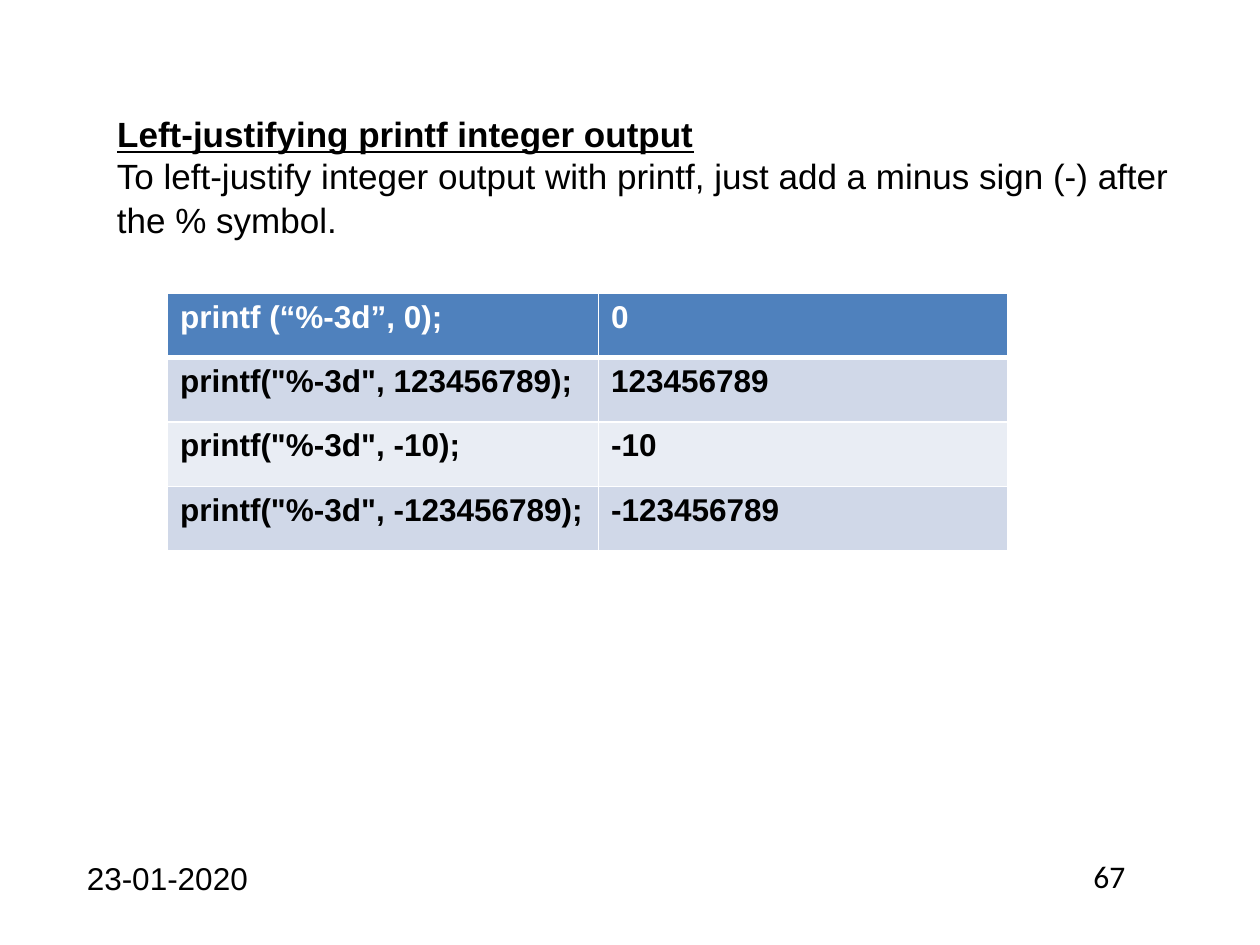
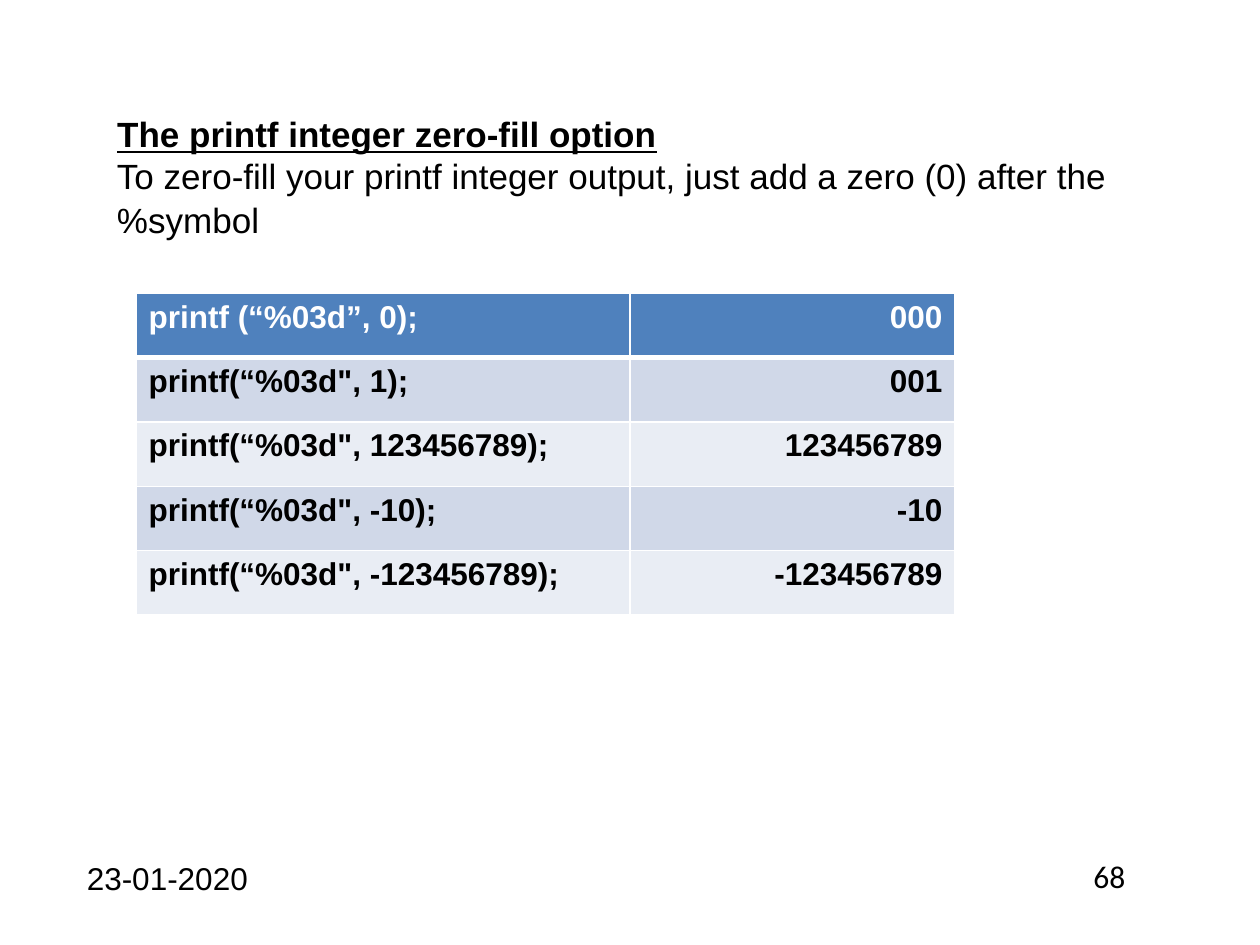
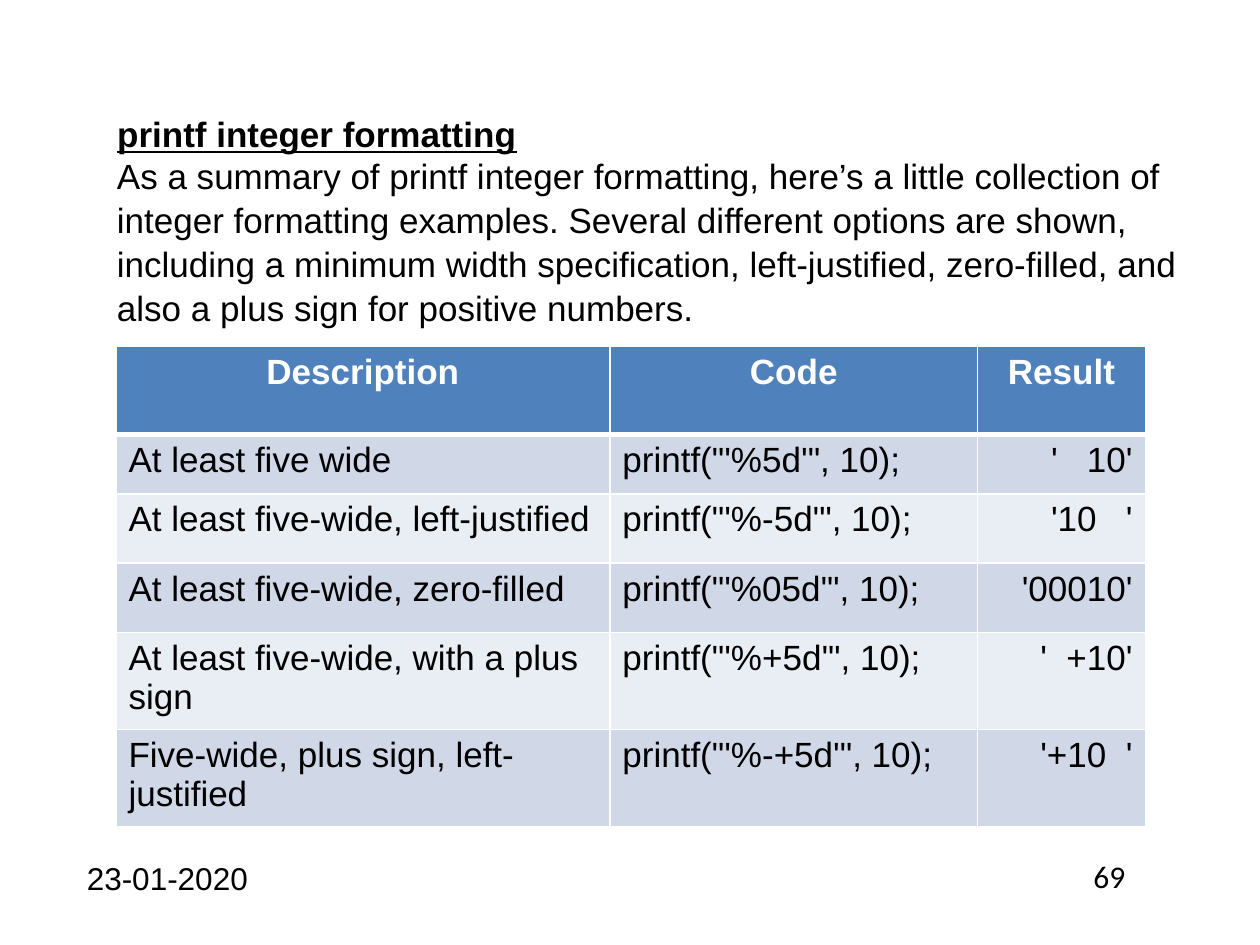
"""Build three slides on printf integer formatting."""
from dataclasses import dataclass

from lxml.etree import SubElement
from pptx import Presentation
from pptx.dml.color import RGBColor
from pptx.enum.text import MSO_ANCHOR as Anchor
from pptx.enum.text import MSO_AUTO_SIZE as AutoSize
from pptx.enum.text import PP_ALIGN as Align
from pptx.oxml.ns import qn
from pptx.util import Inches, Pt

BLACK, WHITE, HEADER_BLUE = "000000", "FFFFFF", "4F81BD"
BAND_FILLS = ("D0D8E8", "E9EDF4")
DATE = "23-01-2020"
FIRST_PAGE = 67
TITLE_ONLY = 5
TEXT_LEFT, TEXT_WIDTH = 0.83, 8.67
LEADING = 1.05

HEADING = {"name": "Arial", "size": Pt(20), "bold": True, "underline": True}
BODY = {"name": "Arial", "size": Pt(20), "bold": False, "underline": False}
DATE_FORMAT = {"name": "Arial", "size": Pt(18)}
PAGE_FORMAT = {"name": "Calibri", "size": Pt(18)}


@dataclass(frozen=True)
class Box:
    """A rectangle in inches."""

    left: float
    top: float
    width: float
    height: float


@dataclass(frozen=True)
class Grid:
    """A table with a header row and banded body rows."""

    left: float
    top: float
    columns: tuple[float, ...]
    heights: tuple[float, ...]
    rows: tuple[tuple[str, ...], ...]
    aligns: tuple[Align, ...]
    header_aligns: tuple[Align, ...]
    size: int
    bold_body: bool


@dataclass(frozen=True)
class Topic:
    """The content of one slide."""

    heading: str
    explanation: str
    explanation_height: float
    grid: Grid


TITLE_BOX = Box(TEXT_LEFT, 0.83, TEXT_WIDTH, 0.43)
DATE_BOX = Box(0.59, 6.77, 1.52, 0.47)
PAGE_BOX = Box(8.58, 6.75, 0.92, 0.4)
EXPLANATION_TOP = 1.16

TOPICS = (
    Topic(
        "Left-justifying printf integer output",
        "To left-justify integer output with printf, just add a minus sign (-) "
        "after the % symbol.",
        0.77,
        Grid(
            1.33, 2.33, (3.42, 3.25), (0.51,) * 4,
            (
                ("printf (“%-3d”, 0);", "0"),
                ('printf("%-3d", 123456789);', "123456789"),
                ('printf("%-3d", -10);', "-10"),
                ('printf("%-3d", -123456789);', "-123456789"),
            ),
            (Align.LEFT,) * 2, (Align.LEFT,) * 2, 18, True,
        ),
    ),
    Topic(
        "The printf integer zero-fill option",
        "To zero-fill your printf integer output, just add a zero (0) "
        "after the %symbol",
        0.77,
        Grid(
            1.08, 2.33, (3.92, 2.58), (0.51,) * 5,
            (
                ("printf (“%03d”, 0);", "000"),
                ('printf(“%03d", 1);', "001"),
                ('printf(“%03d", 123456789);', "123456789"),
                ('printf(“%03d", -10);', "-10"),
                ('printf(“%03d", -123456789);', "-123456789"),
            ),
            (Align.LEFT, Align.RIGHT), (Align.LEFT, Align.RIGHT), 18, True,
        ),
    ),
    Topic(
        "printf integer formatting",
        "As a summary of printf integer formatting, here’s a little collection "
        "of integer formatting examples. Several different options are shown, "
        "including a minimum width specification, left-justified, zero-filled, "
        "and also a plus sign for positive numbers.",
        1.44,
        Grid(
            0.92, 2.75, (3.92, 2.92, 1.33), (0.7, 0.47, 0.55, 0.55, 0.77, 0.77),
            (
                ("Description", "Code", "Result"),
                ("At least five wide", "printf(\"'%5d'\", 10);", "'   10'"),
                ("At least five-wide, left-justified", "printf(\"'%-5d'\", 10);", "'10   '"),
                ("At least five-wide, zero-filled", "printf(\"'%05d'\", 10);", "'00010'"),
                ("At least five-wide, with a plus sign", "printf(\"'%+5d'\", 10);", "'  +10'"),
                ("Five-wide, plus sign, left-justified", "printf(\"'%-+5d'\", 10);", "'+10  '"),
            ),
            (Align.LEFT, Align.LEFT, Align.RIGHT), (Align.CENTER,) * 3, 20, False,
        ),
    ),
)


def color(value: str) -> RGBColor:
    """Turn a hex string into a colour."""
    return RGBColor.from_string(value)


def write(frame, text: str, formats: dict, text_color: str = BLACK,
          align: Align = Align.LEFT, leading: float = 1.0) -> None:
    """Write one formatted paragraph into a text frame."""
    paragraph = frame.paragraphs[0]
    paragraph.alignment = align
    paragraph.line_spacing = leading
    run = paragraph.add_run()
    run.text = text
    for name, value in formats.items():
        setattr(run.font, name, value)
    run.font.color.rgb = color(text_color)


def add_text(slide, box: Box, text: str, formats: dict, leading: float = 1.0) -> None:
    """Add a wrapping text box."""
    shape = slide.shapes.add_textbox(
        Inches(box.left), Inches(box.top), Inches(box.width), Inches(box.height))
    shape.text_frame.word_wrap = True
    write(shape.text_frame, text, formats, leading=leading)


def set_title(slide, text: str) -> None:
    """Place and format the title placeholder."""
    title = slide.shapes.title
    for name in ("left", "top", "width", "height"):
        setattr(title, name, Inches(getattr(TITLE_BOX, name)))
    frame = title.text_frame
    frame.word_wrap = True
    frame.auto_size = AutoSize.NONE
    frame.vertical_anchor = Anchor.TOP
    write(frame, text, HEADING, leading=LEADING)


def set_borders(cell, widths: dict[str, int]) -> None:
    """Draw white borders of the given point widths on a cell."""
    properties = cell._tc.get_or_add_tcPr()
    for side, width in widths.items():
        line = SubElement(properties, qn(f"a:ln{side}"), w=str(Pt(width)))
        fill = SubElement(line, qn("a:solidFill"))
        SubElement(fill, qn("a:srgbClr"), val=WHITE)


def add_grid(slide, grid: Grid) -> None:
    """Add a table with a blue header and banded rows."""
    table = slide.shapes.add_table(
        len(grid.rows), len(grid.columns), Inches(grid.left), Inches(grid.top),
        Inches(sum(grid.columns)), Inches(sum(grid.heights))).table
    for column, width in zip(table.columns, grid.columns):
        column.width = Inches(width)
    for index, (row, height, texts) in enumerate(zip(table.rows, grid.heights, grid.rows)):
        row.height = Inches(height)
        header = index == 0
        fill = HEADER_BLUE if header else BAND_FILLS[(index - 1) % 2]
        aligns = grid.header_aligns if header else grid.aligns
        formats = {"name": "Arial", "size": Pt(grid.size), "bold": header or grid.bold_body}
        borders = {"L": 1, "R": 1, "T": 3 if index == 1 else 1, "B": 3 if header else 1}
        for cell, text, align in zip(row.cells, texts, aligns):
            set_borders(cell, borders)
            cell.fill.solid()
            cell.fill.fore_color.rgb = color(fill)
            write(cell.text_frame, text, formats, WHITE if header else BLACK, align)


def add_topic(presentation, topic: Topic, page: int) -> None:
    """Add one complete slide."""
    slide = presentation.slides.add_slide(presentation.slide_layouts[TITLE_ONLY])
    set_title(slide, topic.heading)
    add_text(slide, DATE_BOX, DATE, DATE_FORMAT)
    add_text(slide, PAGE_BOX, str(page), PAGE_FORMAT)
    add_grid(slide, topic.grid)
    explanation_box = Box(TEXT_LEFT, EXPLANATION_TOP, TEXT_WIDTH, topic.explanation_height)
    add_text(slide, explanation_box, topic.explanation, BODY, LEADING)


def main() -> None:
    """Build and save the presentation."""
    presentation = Presentation()
    presentation.slide_width = Inches(10)
    presentation.slide_height = Inches(7.5)
    for page, topic in enumerate(TOPICS, FIRST_PAGE):
        add_topic(presentation, topic, page)
    presentation.save("out.pptx")


if __name__ == "__main__":
    main()
